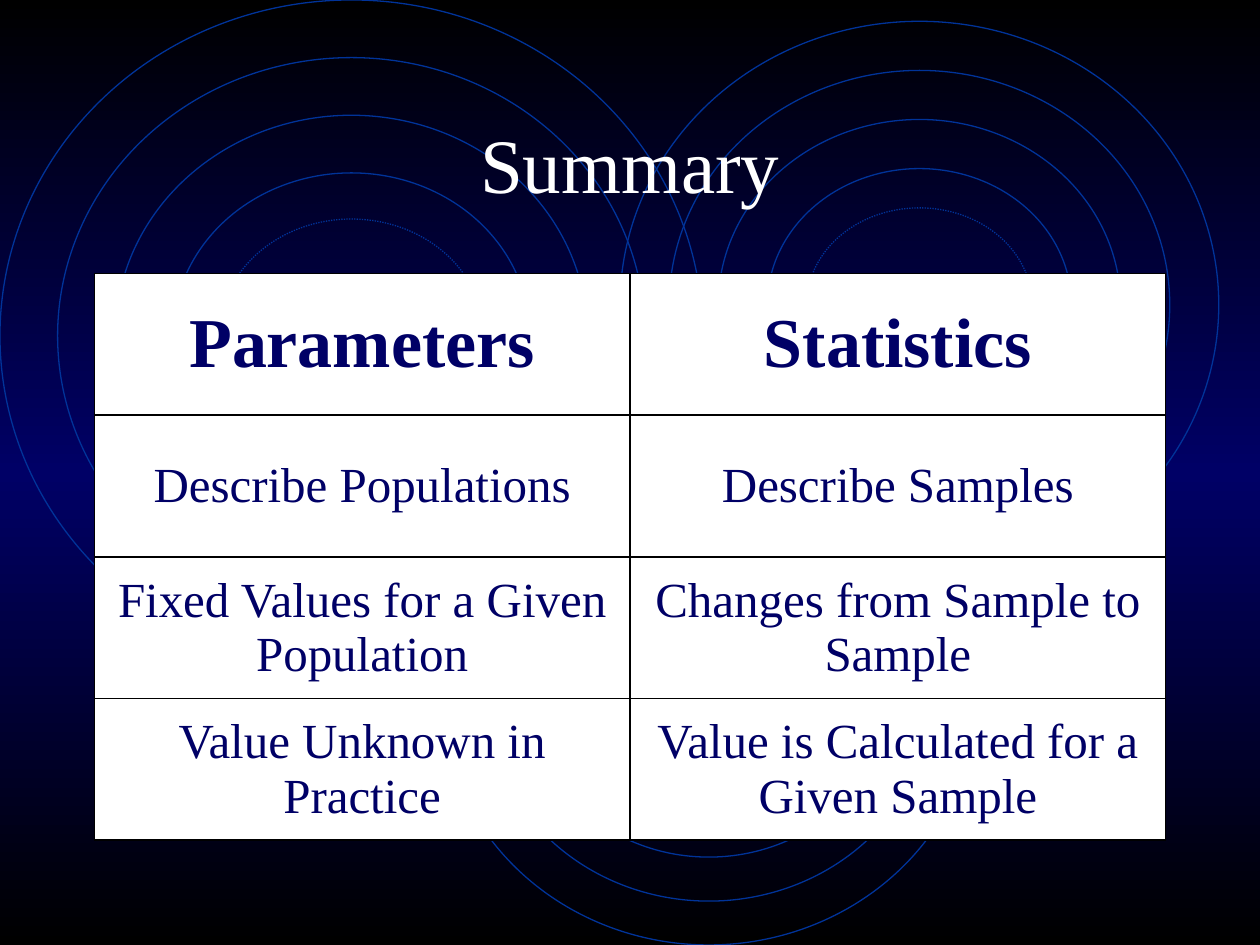
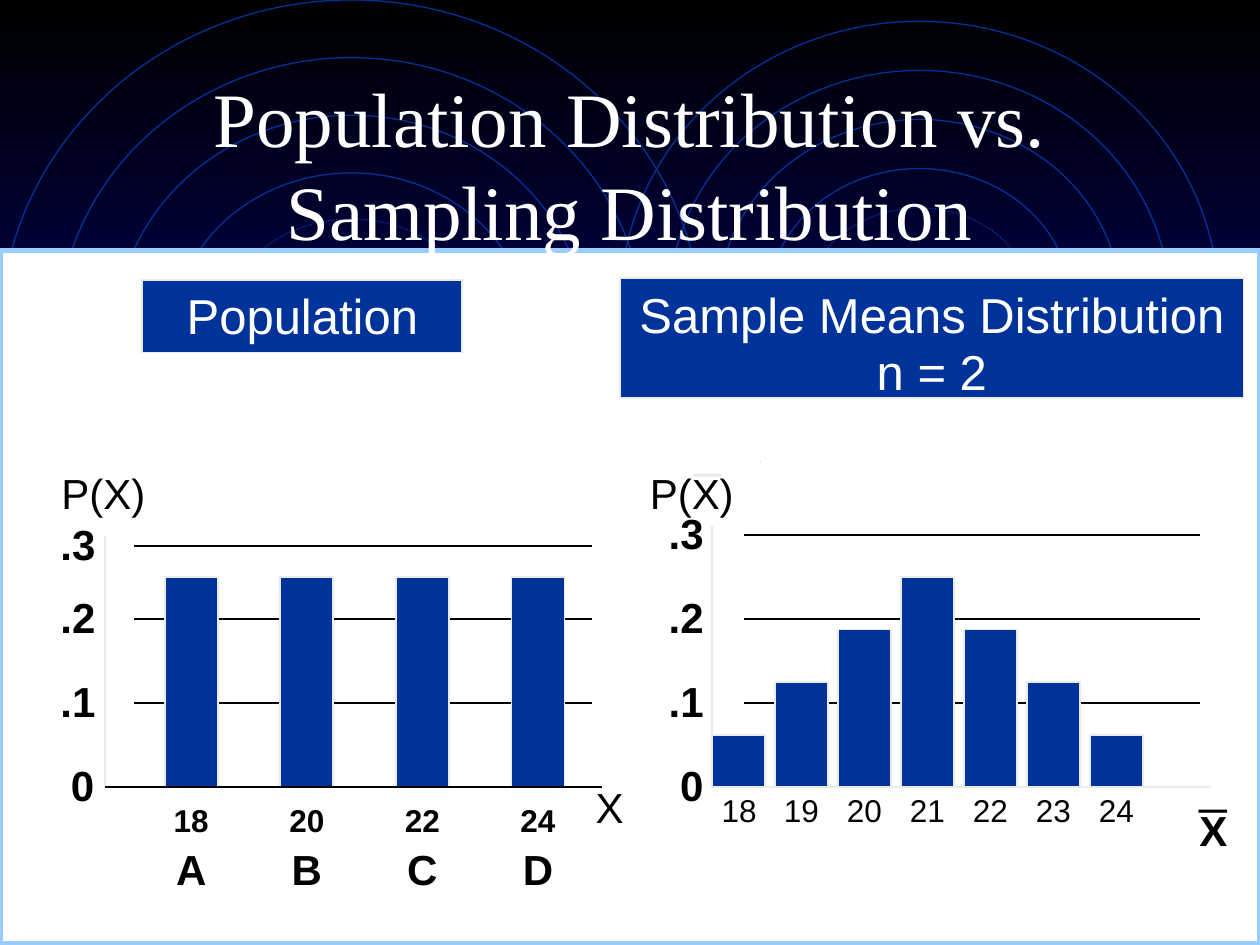
from dataclasses import dataclass

import pptx
import pptx.dml.color
import pptx.enum.dml
import pptx.enum.shapes
import pptx.enum.text
import pptx.oxml.ns
import pptx.slide
import pptx.util
from lxml import etree

Cm = pptx.util.Cm
Pt = pptx.util.Pt
qn = pptx.oxml.ns.qn
Shape = pptx.enum.shapes.MSO_SHAPE
Align = pptx.enum.text.PP_ALIGN
Anchor = pptx.enum.text.MSO_ANCHOR

COLORS = {
    "black": "000000",
    "white": "FFFFFF",
    "navy": "000066",
    "blue": "003399",
    "sky": "99CCFF",
    "pale": "EAEAEA",
}
SERIF, SANS = "Times New Roman", "Arial"
SCALE = 16.95  # centimetres for a probability of 1
BASE = 15.87
BAR = 1.07
INSET = 0.25


@dataclass
class Box:
    left: float
    top: float
    width: float
    height: float

    def size(self) -> tuple:
        return Cm(self.left), Cm(self.top), Cm(self.width), Cm(self.height)


@dataclass
class Style:
    size: float
    color: str = "black"
    font: str = SANS
    bold: bool = False


@dataclass
class Plot:
    axis: float
    top: float
    base: tuple[float, float]
    shade: str
    grid: tuple[float, float]
    peak: float
    first: float
    step: float
    odds: list[float]
    scale: float
    zero: float


RINGS = [
    Box(0, 0, 14.17, 13.54),
    Box(8.89, 8.89, 10.8, 10.16),
    Box(12.5, 0.43, 12.07, 11.43),
]
TITLE = Style(44, "white", SERIF)
CHIP = Style(28, "white")
LABEL = Style(24)
BOLD = Style(24, bold=True)
LEFT = Plot(2.12, 10.8, (2.12, 12.14), "black", (2.71, 11.94), 11.0,
            3.32, 2.33, [0.25] * 4, 0.97, 1.18)
RIGHT = Plot(14.35, 10.6, (14.99, 24.41), "pale", (14.99, 24.2), 10.79, 14.35, 1.27,
             [0.0625, 0.125, 0.1875, 0.25, 0.1875, 0.125, 0.0625], 13.23, 13.46)
ROWS = [
    ("Parameters", "Statistics"),
    ("Describe Populations", "Describe Samples"),
    ("Fixed Values for a Given Population", "Changes from Sample to Sample"),
    ("Value Unknown in Practice", "Value is Calculated for a Given Sample"),
]


def tint(name: str) -> pptx.dml.color.RGBColor:
    return pptx.dml.color.RGBColor.from_string(COLORS[name])


def add_run(para, text: str, style: Style) -> None:
    run = para.add_run()
    run.text = text
    font = run.font
    font.name, font.size, font.bold = style.font, Pt(style.size), style.bold
    font.color.rgb = tint(style.color)


def add_form(slide: pptx.slide.Slide, kind, box: Box, fill: str | None,
             line: str, width: float):
    form = slide.shapes.add_shape(kind, *box.size())
    form.shadow.inherit = False
    if fill:
        form.fill.solid()
        form.fill.fore_color.rgb = tint(fill)
    else:
        form.fill.background()
    form.line.color.rgb = tint(line)
    form.line.width = Pt(width)
    return form


def add_line(slide: pptx.slide.Slide, start: tuple[float, float],
             end: tuple[float, float], color: str, width: float = 1) -> None:
    line = slide.shapes.add_connector(
        pptx.enum.shapes.MSO_CONNECTOR.STRAIGHT, *map(Cm, start + end))
    line.line.color.rgb = tint(color)
    line.line.width = Pt(width)
    etree.SubElement(line._element.spPr, qn("a:effectLst"))


def add_text(slide: pptx.slide.Slide, box: Box, text: str = "", style: Style = LABEL):
    frame = slide.shapes.add_textbox(*box.size()).text_frame
    frame.word_wrap = True
    if text:
        add_run(frame.paragraphs[0], text, style)
    return frame


def add_chip(slide: pptx.slide.Slide, box: Box, lines: list[str]) -> None:
    """Draw a blue label whose later lines sit close under the first."""
    frame = add_form(slide, Shape.RECTANGLE, box, "blue", "pale", 1).text_frame
    frame.word_wrap = True
    frame.vertical_anchor = Anchor.TOP
    for i, text in enumerate(lines):
        para = frame.add_paragraph() if i else frame.paragraphs[0]
        para.alignment = Align.CENTER
        if i:
            para.line_spacing, para.space_before = 0.3, Pt(19)
        add_run(para, text, CHIP)


def set_tabs(para, stops: list[float]) -> None:
    tabs = etree.SubElement(para._p.get_or_add_pPr(), qn("a:tabLst"))
    for stop in stops:
        etree.SubElement(tabs, qn("a:tab"), pos=str(Cm(stop)), algn="ctr")


def add_ticks(para, plot: Plot, left: float, names: list[str], style: Style,
              lead: Style) -> None:
    """Write one name under the middle of each bar."""
    start = plot.first + BAR / 2 - left - INSET
    set_tabs(para, [start + i * plot.step for i in range(len(names))])
    add_run(para, "\t", lead)
    add_run(para, "\t".join(names), style)


def add_plot(slide: pptx.slide.Slide, plot: Plot) -> None:
    add_line(slide, (plot.axis, plot.top), (plot.axis, BASE), "pale")
    levels = [BASE, BASE - 0.1 * SCALE, BASE - 0.2 * SCALE, plot.peak]
    for y in levels[1:]:
        add_line(slide, (plot.grid[0], y), (plot.grid[1], y), "black")
    for i, odds in enumerate(plot.odds):
        tall = odds * SCALE
        box = Box(plot.first + i * plot.step, BASE - tall, BAR, tall)
        add_form(slide, Shape.RECTANGLE, box, "blue", "pale", 1)
    add_line(slide, (plot.base[0], BASE), (plot.base[1], BASE), plot.shade)
    for y, text in zip(levels, ["0", ".1", ".2", ".3"]):
        x = plot.zero if text == "0" else plot.scale
        add_text(slide, Box(x, y - 0.68, 1.57, 1.27), text, BOLD)


def add_rings(slide: pptx.slide.Slide, outer: Box) -> None:
    """Draw five nested rings, the inmost one dotted."""
    for turn in (0, 1, 2, 3, 3.8):
        gap = turn * outer.width * 0.082
        box = Box(outer.left + gap, outer.top + gap,
                  outer.width - 2 * gap, outer.height - 2 * gap)
        ring = add_form(slide, Shape.OVAL, box, None, "blue", 0.75)
        if turn == 3.8:
            ring.line.dash_style = pptx.enum.dml.MSO_LINE.ROUND_DOT


def add_slide(deck, rings: list[Box]) -> pptx.slide.Slide:
    slide = deck.slides.add_slide(deck.slide_layouts[6])
    fill = slide.background.fill
    fill.gradient()
    fill.gradient_angle = 270
    stops = slide._element.find(".//" + qn("a:gsLst"))
    stops.clear()
    for place, name in ((0, "black"), (50, "navy"), (100, "black")):
        stop = etree.SubElement(stops, qn("a:gs"), pos=str(place * 1000))
        etree.SubElement(stop, qn("a:srgbClr"), val=COLORS[name])
    for ring in rings:
        add_rings(slide, ring)
    return slide


def add_title(slide: pptx.slide.Slide, lines: list[str]) -> None:
    frame = add_text(slide, Box(1.9, 1.7, 21.6, 3.18))
    frame.vertical_anchor = Anchor.MIDDLE
    para = frame.paragraphs[0]
    para.alignment = Align.CENTER
    for i, text in enumerate(lines):
        if i:
            para.add_line_break()
        add_run(para, text, TITLE)


def set_edges(cell) -> None:
    props = cell._tc.get_or_add_tcPr()
    for i, side in enumerate(("lnL", "lnR", "lnT", "lnB")):
        edge = etree.Element(qn("a:" + side), w=str(Pt(1)))
        fill = etree.SubElement(edge, qn("a:solidFill"))
        etree.SubElement(fill, qn("a:srgbClr"), val=COLORS["black"])
        props.insert(i, edge)


def add_grid(slide: pptx.slide.Slide) -> None:
    box = Box(1.9, 5.51, 21.6, 11.43)
    table = slide.shapes.add_table(len(ROWS), 2, *box.size()).table
    table.first_row = table.horz_banding = False
    for r, row in enumerate(ROWS):
        style = Style(28 if r else 40, "navy", SERIF, not r)
        for c, text in enumerate(row):
            cell = table.cell(r, c)
            cell.vertical_anchor = Anchor.MIDDLE
            cell.fill.solid()
            cell.fill.fore_color.rgb = tint("white")
            set_edges(cell)
            para = cell.text_frame.paragraphs[0]
            para.alignment = Align.CENTER
            add_run(para, text, style)


def add_recap(deck) -> None:
    slide = add_slide(deck, RINGS)
    add_title(slide, ["Summary"])
    add_grid(slide)


def add_means(deck) -> None:
    slide = add_slide(deck, [RINGS[0], RINGS[2]])
    add_form(slide, Shape.RECTANGLE, Box(0, 5.05, 25.4, 13.97), "white", "sky", 3)
    add_title(slide, ["Population Distribution vs.", "Sampling Distribution"])
    add_plot(slide, RIGHT)
    add_plot(slide, LEFT)

    names = Box(14.3, 15.82, 9.83, 1.02)
    small = Style(18)
    para = add_text(slide, names).paragraphs[0]
    add_ticks(para, RIGHT, names.left, [str(n) for n in range(18, 25)], small, small)

    names = Box(2.64, 15.82, 9.4, 2.18)
    frame = add_text(slide, names)
    add_ticks(frame.paragraphs[0], LEFT, names.left, ["18", "20", "22", "24"],
              Style(18, bold=True), LABEL)
    para = frame.add_paragraph()
    para.line_spacing, para.space_before = 0.4, Pt(16)
    add_ticks(para, LEFT, names.left, list("ABCD"), BOLD, BOLD)

    for x in (0.99, 12.85):
        add_text(slide, Box(x, 9.3, 2.8, 1.27), "P(X)")
    add_text(slide, Box(11.76, 15.62, 1.37, 1.27), "X")
    add_text(slide, Box(23.93, 16.1, 1.37, 1.27), "X", BOLD)
    add_text(slide, Box(23.93, 15.09, 1.09, 1.42), "_", Style(28))
    add_text(slide, Box(13.74, 8.31, 1.09, 1.42), "_", Style(28, "pale"))
    add_line(slide, (15.32, 9.3), (15.34, 9.3), "pale", 2)
    add_chip(slide, Box(2.87, 5.64, 6.45, 1.47), ["Population"])
    add_chip(slide, Box(12.5, 5.61, 12.57, 2.41),
             ["Sample Means Distribution", "n = 2"])


def main() -> None:
    deck = pptx.Presentation()
    deck.slide_width, deck.slide_height = Cm(25.4), Cm(19.05)
    add_recap(deck)
    add_means(deck)
    deck.save("out.pptx")


if __name__ == "__main__":
    main()
